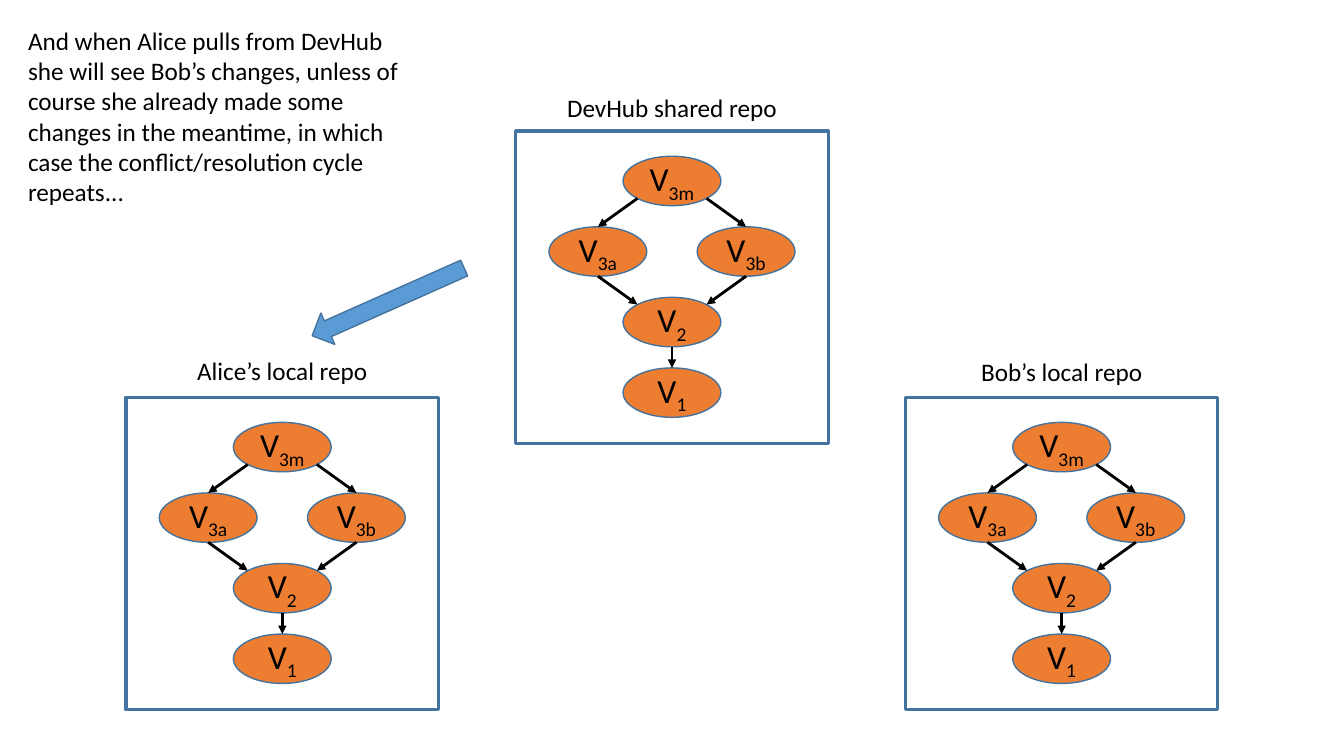
from lxml import etree
from pptx import Presentation
from pptx.dml.color import RGBColor
from pptx.enum.shapes import MSO_CONNECTOR, MSO_SHAPE
from pptx.enum.text import MSO_ANCHOR, MSO_AUTO_SIZE, PP_ALIGN
from pptx.oxml.ns import qn
from pptx.util import Inches, Pt

STRAIGHT = MSO_CONNECTOR.STRAIGHT
RECTANGLE, OVAL, UP_ARROW = MSO_SHAPE.RECTANGLE, MSO_SHAPE.OVAL, MSO_SHAPE.UP_ARROW
LEFT, CENTER = PP_ALIGN.LEFT, PP_ALIGN.CENTER
TOP, MIDDLE = MSO_ANCHOR.TOP, MSO_ANCHOR.MIDDLE
FIT_SHAPE = MSO_AUTO_SIZE.SHAPE_TO_FIT_TEXT

# Content
EXPLANATION = (
    "And when Alice pulls from DevHub she will see Bob’s changes, unless of "
    "course she already made some changes in the meantime, in which case the "
    "conflict/resolution cycle repeats..."
)
# Label, column of the slide, top of the frame, rise of the label above it
REPOSITORIES = [
    ("Alice’s local repo", 0, 3.94, 0.46),
    ("DevHub shared repo", 1, 1.3, 0.43),
    ("Bob’s local repo", 2, 3.94, 0.45),
]
# Version: (column from the frame's centre, row)
VERSIONS = {"3m": (0, 0), "3a": (-1, 1), "3b": (1, 1), "2": (0, 2), "1": (0, 3)}
# Start version and its side, end version and its side; sides are (x, y)
HISTORY = [
    ("3m", (-1, 1), "3a", (0, -1)),
    ("3m", (1, 1), "3b", (0, -1)),
    ("3a", (0, 1), "2", (-1, -1)),
    ("3b", (0, 1), "2", (1, -1)),
    ("2", (0, 1), "1", (0, -1)),
]

# Layout in inches
SLIDE_WIDTH, SLIDE_HEIGHT = 13.33, 7.5
REPOSITORY_PITCH, FRAME_SIZE = 3.865, 3.1
NODE_WIDTH, NODE_HEIGHT = 0.97, 0.49
NODE_COLUMN, NODE_ROW, FIRST_ROW = 0.735, 0.7, 0.25
LABEL_HEIGHT = 0.4
DIAGONAL = 0.5 ** 0.5

THEME = {
    "font": "Calibri",
    "text": RGBColor(0x00, 0x00, 0x00),
    "outline": RGBColor(0x43, 0x73, 0x9E),
    "node": RGBColor(0xED, 0x7D, 0x31),
    "pull": RGBColor(0x5B, 0x9B, 0xD5),
    "body_size": Pt(18),
    "node_size": Pt(24),
    "thin": Pt(1),
    "thick": Pt(2),
    "frame": Pt(2.25),
}


def set_values(target, values):
    """Set each named attribute of the target."""
    for name, value in values.items():
        setattr(target, name, value)


def add_run(paragraph, text, size):
    """Add a run in the theme's font and return it."""
    run = paragraph.add_run()
    run.text = text
    set_values(run.font, {"name": THEME["font"], "size": size})
    run.font.color.rgb = THEME["text"]
    return run


def add_text(slide, text, box, alignment=LEFT, wrap=True):
    """Add a text box at (left, top, width, height)."""
    frame = slide.shapes.add_textbox(*map(Inches, box)).text_frame
    set_values(frame, {"word_wrap": wrap, "auto_size": FIT_SHAPE, "vertical_anchor": TOP})
    paragraph = frame.paragraphs[0]
    paragraph.alignment = alignment
    add_run(paragraph, text, THEME["body_size"])


def add_outlined_shape(slide, kind, box, fill, line_width):
    """Add a preset shape with the theme's outline, hollow if fill is None."""
    shape = slide.shapes.add_shape(kind, *map(Inches, box))
    shape.shadow.inherit = False
    if fill is None:
        shape.fill.background()
    else:
        shape.fill.solid()
        shape.fill.fore_color.rgb = fill
    shape.line.color.rgb = THEME["outline"]
    shape.line.width = line_width
    return shape


def add_version(slide, version, center):
    """Add one version's oval, with its number as a subscript."""
    x, y = center
    box = (x - NODE_WIDTH / 2, y - NODE_HEIGHT / 2, NODE_WIDTH, NODE_HEIGHT)
    shape = add_outlined_shape(slide, OVAL, box, THEME["node"], THEME["thin"])
    shape.text_frame.vertical_anchor = MIDDLE
    paragraph = shape.text_frame.paragraphs[0]
    paragraph.alignment = CENTER
    add_run(paragraph, "V", THEME["node_size"])
    number = add_run(paragraph, version, THEME["node_size"])
    number.font._element.set("baseline", "-25000")


def edge_point(center, side):
    """Return the point of an oval's edge that faces the given side."""
    reach = DIAGONAL if all(side) else 1
    return (center[0] + side[0] * reach * NODE_WIDTH / 2,
            center[1] + side[1] * reach * NODE_HEIGHT / 2)


def add_arrow(slide, start, end):
    """Add a straight arrow between two points."""
    connector = slide.shapes.add_connector(STRAIGHT, *map(Inches, start + end))
    connector.line.color.rgb = THEME["text"]
    connector.line.width = THEME["thick"]
    etree.SubElement(connector.line._get_or_add_ln(), qn("a:tailEnd"), type="triangle")
    etree.SubElement(connector._element.spPr, qn("a:effectLst"))


def add_repository(slide, label, column, top, label_rise):
    """Add a labelled frame with its version graph."""
    middle = SLIDE_WIDTH / 2 + (column - 1) * REPOSITORY_PITCH
    left = middle - FRAME_SIZE / 2
    frame_box = (left, top, FRAME_SIZE, FRAME_SIZE)
    add_outlined_shape(slide, RECTANGLE, frame_box, None, THEME["frame"])
    label_box = (left, top - label_rise, FRAME_SIZE, LABEL_HEIGHT)
    add_text(slide, label, label_box, CENTER, wrap=False)
    first_center = top + FIRST_ROW + NODE_HEIGHT / 2
    centers = {
        version: (middle + node_column * NODE_COLUMN, first_center + row * NODE_ROW)
        for version, (node_column, row) in VERSIONS.items()
    }
    for version, center in centers.items():
        add_version(slide, version, center)
    for start, start_side, end, end_side in HISTORY:
        add_arrow(slide, edge_point(centers[start], start_side),
                  edge_point(centers[end], end_side))


presentation = Presentation()
set_values(presentation, {"slide_width": Inches(SLIDE_WIDTH),
                          "slide_height": Inches(SLIDE_HEIGHT)})
slide = presentation.slides.add_slide(presentation.slide_layouts[6])
for repository in REPOSITORIES:
    add_repository(slide, *repository)
add_text(slide, EXPLANATION, (0.18, 0.2, 3.97, 1.92))
pull_arrow = add_outlined_shape(slide, UP_ARROW, (3.68, 2.17, 0.34, 1.65),
                                THEME["pull"], THEME["thin"])
pull_arrow.rotation = 246
presentation.save("out.pptx")
